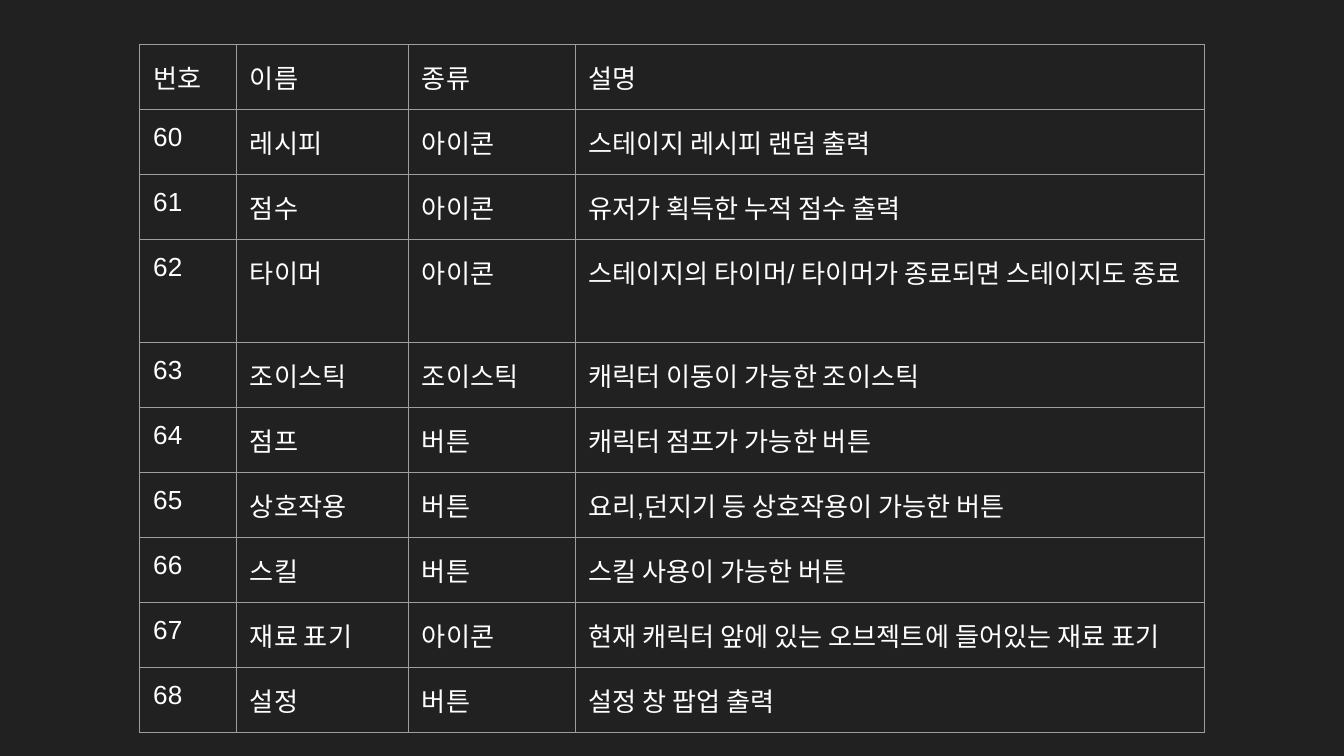
from dataclasses import dataclass

from lxml import etree
from pptx import Presentation
from pptx import util as u
from pptx.dml.color import RGBColor
from pptx.oxml import ns


@dataclass(frozen=True)
class Theme:
    """Colours, typeface and sizes of the deck."""

    background: str = "212121"
    ink: str = "FFFFFF"
    rule: str = "9E9E9E"
    font: str = "Arial"
    body: float = 14
    rule_width: float = 0.75
    inset: float = 0.1


class SlideBuilder:
    """Holds the theme and the current slide, and draws each kind of element."""

    def __init__(self, deck, theme):
        """Add a blank page with the theme background."""
        self.theme = theme
        self.page = deck.slides.add_slide(deck.slide_layouts[6])
        fill = self.page.background.fill
        fill.solid()
        fill.fore_color.rgb = RGBColor.from_string(theme.background)

    def table(self, left, top, widths, row_height, rows):
        """Draw a ruled table whose cells share one style."""
        frame = self.page.shapes.add_table(
            len(rows), len(widths), u.Inches(left), u.Inches(top),
            u.Inches(sum(widths)), u.Inches(row_height * len(rows)))
        table = frame.table
        table.first_row = table.horz_banding = False
        for column, width in zip(table.columns, widths):
            column.width = u.Inches(width)
        for row, values in zip(table.rows, rows):
            row.height = u.Inches(row_height)
            for cell, value in zip(row.cells, values):
                self.cell(cell, value)

    def cell(self, cell, value):
        """Fill in one table cell."""
        inset = u.Inches(self.theme.inset)
        cell.margin_left = cell.margin_right = inset
        cell.margin_top = cell.margin_bottom = inset
        self.borders(cell)
        cell.fill.background()
        self.span(cell.text_frame.paragraphs[0], value)

    def borders(self, cell):
        """Rule all four sides of a cell."""
        properties = cell._tc.get_or_add_tcPr()
        width = str(u.Pt(self.theme.rule_width))
        for side in ("lnL", "lnR", "lnT", "lnB"):
            line = etree.SubElement(properties, ns.qn(f"a:{side}"), w=width)
            fill = etree.SubElement(line, ns.qn("a:solidFill"))
            etree.SubElement(fill, ns.qn("a:srgbClr"), val=self.theme.rule)

    def span(self, para, value):
        """Add one styled run."""
        span = para.add_run()
        span.text = value
        span.font.size = u.Pt(self.theme.body)
        span.font.color.rgb = RGBColor.from_string(self.theme.ink)
        span.font.name = self.theme.font


HEADER = ("번호", "이름", "종류", "설명")
FIRST_NUMBER = 60
UI_ELEMENTS = [
    ("레시피", "아이콘", "스테이지 레시피 랜덤 출력"),
    ("점수", "아이콘", "유저가 획득한 누적 점수 출력"),
    ("타이머", "아이콘", "스테이지의 타이머/ 타이머가 종료되면 스테이지도 종료"),
    ("조이스틱", "조이스틱", "캐릭터 이동이 가능한 조이스틱"),
    ("점프", "버튼", "캐릭터 점프가 가능한 버튼"),
    ("상호작용", "버튼", "요리,던지기 등 상호작용이 가능한 버튼"),
    ("스킬", "버튼", "스킬 사용이 가능한 버튼"),
    ("재료 표기", "아이콘", "현재 캐릭터 앞에 있는 오브젝트에 들어있는 재료 표기"),
    ("설정", "버튼", "설정 창 팝업 출력"),
]


def main():
    """Build and save the deck."""
    deck = Presentation()
    deck.slide_width = u.Inches(10)
    deck.slide_height = u.Inches(10 * 9 / 16)
    rows = [HEADER] + [
        (str(number), *element)
        for number, element in enumerate(UI_ELEMENTS, FIRST_NUMBER)]
    builder = SlideBuilder(deck, Theme())
    builder.table(1.04, 0.33, (0.72, 1.28, 1.24, 4.68), 0.42, rows)
    deck.save("out.pptx")


if __name__ == "__main__":
    main()
